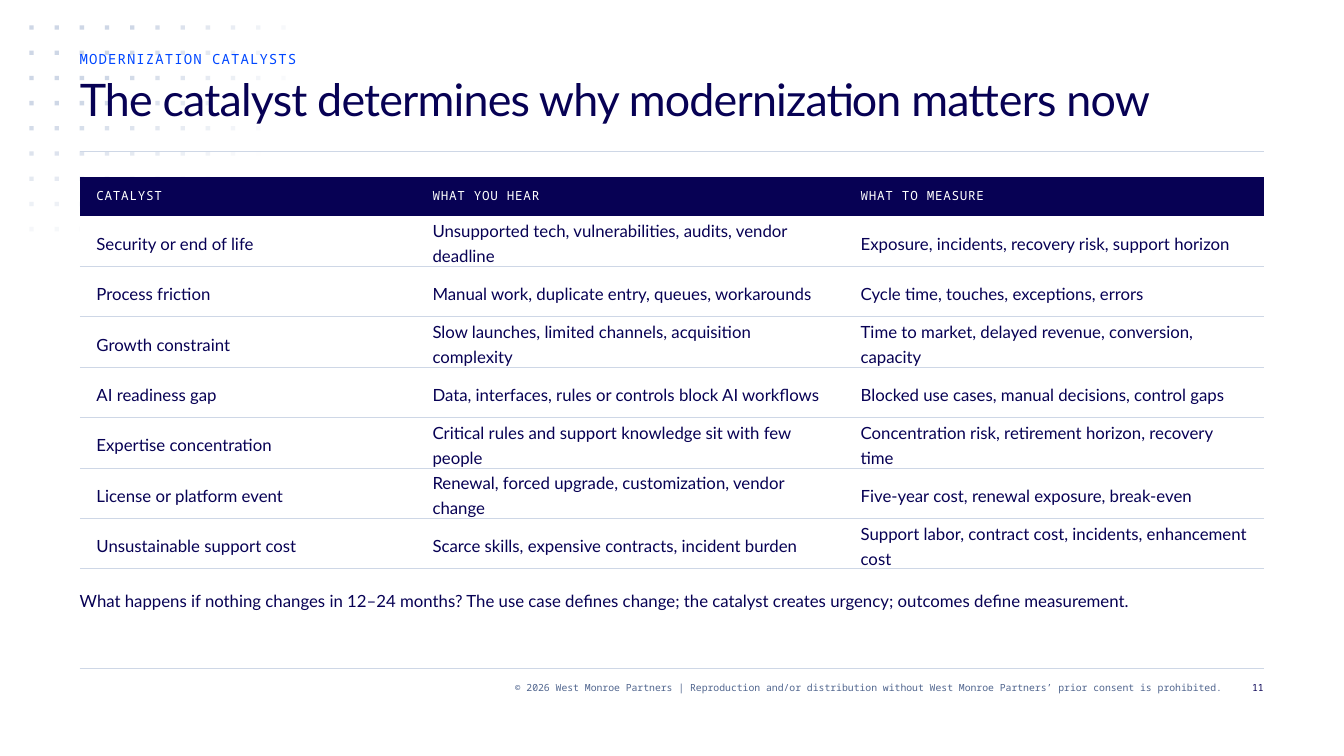
from dataclasses import dataclass
from itertools import product
from math import hypot

from lxml.etree import SubElement as Sub
from pptx import Presentation
from pptx.dml.color import RGBColor as Rgb
from pptx.enum.shapes import MSO_CONNECTOR as Conn, MSO_SHAPE as Kind
from pptx.enum.text import MSO_ANCHOR as Anchor, MSO_AUTO_SIZE as Fit, PP_ALIGN as Align
from pptx.oxml.ns import qn
from pptx.util import Cm, Pt


@dataclass(frozen=True)
class Theme:
    navy: str = "070154"
    blue: str = "0047FF"
    slate: str = "50658E"
    pale: str = "CED7E6"
    white: str = "FFFFFF"
    sans: str = "Lato"
    mono: str = "Noto Sans Mono"
    title: float = 32
    body: float = 12
    label: float = 10
    head: float = 9
    foot: float = 7
    line: float = 0.75


T = Theme()

# Text formats: font, size, colour, line spacing, tracking, alignment
STYLE = {
    "title": (T.sans, T.title, T.navy, 36, -0.6, Align.LEFT),
    "label": (T.mono, T.label, T.blue, 12, 0.8, Align.LEFT),
    "head": (T.mono, T.head, T.white, 12, 0.5, Align.LEFT),
    "body": (T.sans, T.body, T.navy, 18, 0, Align.LEFT),
    "foot": (T.mono, T.foot, T.slate, 9, 0, Align.RIGHT),
    "page": (T.mono, T.foot, T.navy, 9, 0, Align.RIGHT),
}

LEFT, WIDE = Cm(2.01), Cm(29.84)
COLS = (8.47, 10.79, 10.58)
NO_STYLE = "{2D5ABB26-0587-4C30-8999-92F81FD0307C}"

ROWS = [
    ("CATALYST", "WHAT YOU HEAR", "WHAT TO MEASURE"),
    ("Security or end of life",
     "Unsupported tech, vulnerabilities, audits, vendor deadline",
     "Exposure, incidents, recovery risk, support horizon"),
    ("Process friction",
     "Manual work, duplicate entry, queues, workarounds",
     "Cycle time, touches, exceptions, errors"),
    ("Growth constraint",
     "Slow launches, limited channels, acquisition complexity",
     "Time to market, delayed revenue, conversion, capacity"),
    ("AI readiness gap",
     "Data, interfaces, rules or controls block AI workflows",
     "Blocked use cases, manual decisions, control gaps"),
    ("Expertise concentration",
     "Critical rules and support knowledge sit with few people",
     "Concentration risk, retirement horizon, recovery time"),
    ("License or platform event",
     "Renewal, forced upgrade, customization, vendor change",
     "Five-year cost, renewal exposure, break-even"),
    ("Unsustainable support cost",
     "Scarce skills, expensive contracts, incident burden",
     "Support labor, contract cost, incidents, enhancement cost"),
]


def apply(item, **values):
    for name, value in values.items():
        setattr(item, name, value)


def write(frame, text, style):
    face, size, color, lead, track, align = STYLE[style]
    par = frame.paragraphs[0]
    apply(par, alignment=align, line_spacing=Pt(lead))
    run = par.add_run()
    run.text = text
    apply(run.font, name=face, size=Pt(size))
    run.font.color.rgb = Rgb.from_string(color)
    run.font._element.set("spc", str(round(track * 100)))


def fill(item, color):
    item.fill.solid()
    item.fill.fore_color.rgb = Rgb.from_string(color)


def place(shape, text, style, left, top, width, height):
    apply(shape, left=left, top=top, width=width, height=height)
    apply(shape.text_frame, word_wrap=True, auto_size=Fit.NONE,
          vertical_anchor=Anchor.TOP, margin_left=0, margin_right=0,
          margin_top=0, margin_bottom=0)
    write(shape.text_frame, text, style)


def add_text(slide, text, style, left, top, width, height):
    box = slide.shapes.add_textbox(left, top, width, height)
    place(box, text, style, left, top, width, height)


def add_title(slide, text):
    title = slide.shapes.title
    place(title, text, "title", LEFT, Cm(1.9), WIDE, Cm(1.9))
    # Bring the title in front of the dots
    slide.shapes._spTree.append(title._element)


def add_rule(slide, top):
    rule = slide.shapes.add_connector(Conn.STRAIGHT, LEFT, top, LEFT + WIDE, top)
    rule.line.width = Pt(T.line)
    rule.line.color.rgb = Rgb.from_string(T.pale)
    Sub(rule._element.spPr, qn("a:effectLst"))


def add_dots(slide):
    step, side = Cm(2.54) // 4, Cm(0.11)
    for col, row in product(range(11), range(9)):
        # Opacity falls off with elliptical distance from the corner
        alpha = min(100, round(154 * (1 - hypot(col / 11.05, row / 9.05))))
        if alpha < 2:
            continue
        dot = slide.shapes.add_shape(
            Kind.RECTANGLE, Cm(0.74) + col * step, Cm(0.64) + row * step, side, side)
        dot.shadow.inherit = False
        dot.line.fill.background()
        fill(dot, T.pale)
        if alpha < 100:
            tint = dot._element.spPr.find(qn("a:solidFill"))[0]
            Sub(tint, qn("a:alpha"), val=str(alpha * 1000))


def add_edge(cell):
    props = cell._tc.get_or_add_tcPr()
    edge = Sub(props, qn("a:lnB"), w=str(Pt(T.line)))
    Sub(Sub(edge, qn("a:solidFill")), qn("a:srgbClr"), val=T.pale)
    props.insert(0, edge)


def add_grid(slide):
    high = Cm(0.99) + Cm(1.27) * (len(ROWS) - 1)
    grid = slide.shapes.add_table(
        len(ROWS), len(COLS), LEFT, Cm(4.45), WIDE, high).table
    apply(grid, first_row=False, horz_banding=False)
    grid._tbl.tblPr.find(qn("a:tableStyleId")).text = NO_STYLE
    for col, width in zip(grid.columns, COLS):
        col.width = Cm(width)
    for i, texts in enumerate(ROWS):
        grid.rows[i].height = Cm(1.27 if i else 0.99)
        for j, text in enumerate(texts):
            cell = grid.cell(i, j)
            apply(cell, vertical_anchor=Anchor.MIDDLE, margin_left=Cm(0.42),
                  margin_right=Cm(0.42), margin_top=0, margin_bottom=0)
            write(cell.text_frame, text, "body" if i else "head")
            fill(cell, T.white if i else T.navy)
            if i:
                add_edge(cell)


def main():
    deck = Presentation()
    apply(deck, slide_width=Cm(33.87), slide_height=Cm(19.05))
    slide = deck.slides.add_slide(deck.slide_layouts[5])

    # Backdrop
    add_dots(slide)
    for top in (3.82, 16.84):
        add_rule(slide, Cm(top))

    # Heading
    add_text(slide, "MODERNIZATION CATALYSTS", "label", LEFT, Cm(1.27), WIDE, Cm(0.42))
    add_title(slide, "The catalyst determines why modernization matters now")

    # Catalysts and closing line
    add_grid(slide)
    add_text(slide, "What happens if nothing changes in 12–24 months? The use case "
             "defines change; the catalyst creates urgency; outcomes define "
             "measurement.", "body", LEFT, Cm(14.76), WIDE, Cm(1.48))

    # Footer
    add_text(slide, "© 2026 West Monroe Partners | Reproduction and/or distribution "
             "without West Monroe Partners’ prior consent is prohibited.",
             "foot", Cm(6.03), Cm(17.15), Cm(24.77), Cm(0.64))
    add_text(slide, "11", "page", Cm(31.01), Cm(17.15), Cm(0.84), Cm(0.64))

    deck.save("out.pptx")


if __name__ == "__main__":
    main()
